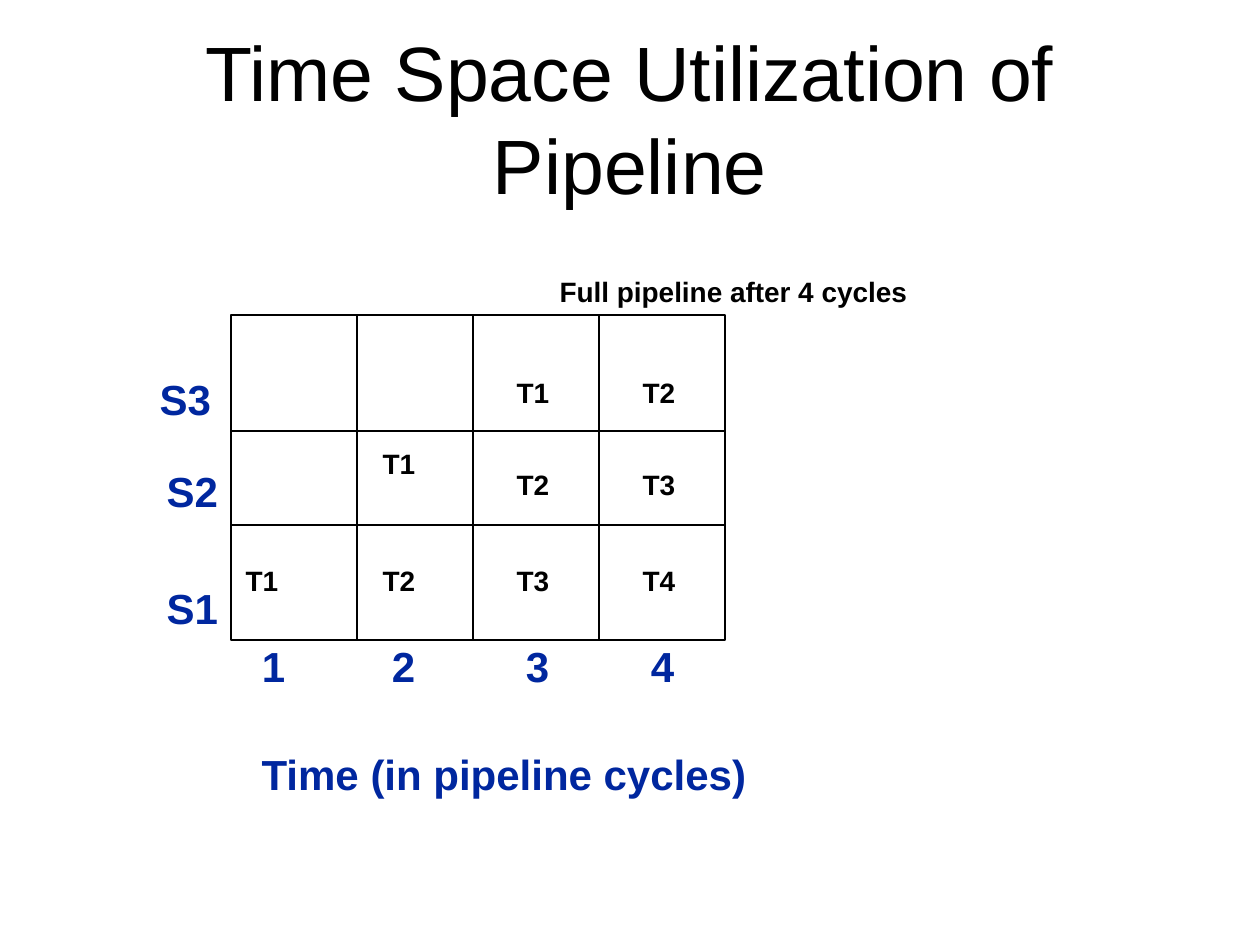
"""Build the pipeline time-space utilization slide."""
from lxml import etree
from pptx import Presentation
from pptx.dml.color import RGBColor
from pptx.enum.shapes import MSO_CONNECTOR, MSO_SHAPE
from pptx.enum.text import MSO_ANCHOR, MSO_AUTO_SIZE, PP_ALIGN
from pptx.oxml.ns import qn
from pptx.util import Pt

PX = 914400 // 126
BLACK = RGBColor(0x00, 0x00, 0x00)
BLUE = RGBColor(0x00, 0x27, 0x9F)
STRAIGHT = MSO_CONNECTOR.STRAIGHT
RECTANGLE = MSO_SHAPE.RECTANGLE
MIDDLE = MSO_ANCHOR.MIDDLE
CENTER = PP_ALIGN.CENTER
FIT_SHAPE = MSO_AUTO_SIZE.SHAPE_TO_FIT_TEXT

TITLE = "Time Space Utilization of Pipeline"
NOTE = "Full pipeline after 4 cycles"
AXIS_TITLE = "Time (in pipeline cycles)"

COLUMN_EDGES = [231, 357, 473, 599, 725]
ROW_EDGES = [315, 431, 525, 640]

# stage, label left, label top, task top
STAGES = [("S1", 154, 582, 561), ("S2", 154, 465, 465), ("S3", 147, 373, 373)]
# cycle, label left, task left
CYCLES = [(1, 249, 233), (2, 379, 370), (3, 513, 504), (4, 638, 630)]
TASK_TOPS = {("S2", 2): 444}

LARGE = {"size": 24, "color": BLUE, "before": 9, "height": 58}
SMALL = {"size": 16, "color": BLACK, "before": 6, "height": 43}


def add_text(slide, text, left, top, width, height):
    box = slide.shapes.add_textbox(left * PX, top * PX, width * PX, height * PX)
    frame = box.text_frame
    frame.word_wrap = True
    frame.vertical_anchor = MIDDLE
    paragraph = frame.paragraphs[0]
    paragraph.text = text
    paragraph.alignment = CENTER
    paragraph.font.name = "Arial"
    return frame, paragraph


def add_label(slide, text, left, top, width, style):
    frame, paragraph = add_text(slide, text, left, top, width, style["height"])
    frame.word_wrap = False
    frame.auto_size = FIT_SHAPE
    paragraph.line_spacing = 0.9
    paragraph.space_before = Pt(style["before"])
    paragraph.font.size = Pt(style["size"])
    paragraph.font.bold = True
    paragraph.font.color.rgb = style["color"]


def add_rule(slide, x1, y1, x2, y2):
    rule = slide.shapes.add_connector(STRAIGHT, x1 * PX, y1 * PX, x2 * PX, y2 * PX)
    rule.line.color.rgb = BLACK
    rule.line.width = Pt(0.75)
    etree.SubElement(rule._element.spPr, qn("a:effectLst"))


def add_grid(slide):
    left, *inner_columns, right = COLUMN_EDGES
    top, *inner_rows, bottom = ROW_EDGES
    border = slide.shapes.add_shape(
        RECTANGLE, left * PX, top * PX, (right - left) * PX, (bottom - top) * PX
    )
    border.shadow.inherit = False
    border.fill.background()
    border.line.color.rgb = BLACK
    border.line.width = Pt(1.25)
    for y in inner_rows:
        add_rule(slide, left, y, right, y)
    for x in inner_columns:
        add_rule(slide, x, top, x, bottom)


def main():
    deck = Presentation()
    deck.slide_width, deck.slide_height = 1260 * PX, 945 * PX
    slide = deck.slides.add_slide(deck.slide_layouts[6])

    _, heading = add_text(slide, TITLE, 63, 38, 1134, 158)
    heading.font.size = Pt(44)
    heading.font.color.rgb = BLACK

    add_grid(slide)
    for depth, (stage, label_left, label_top, task_top) in enumerate(STAGES):
        add_label(slide, stage, label_left, label_top, 77, LARGE)
        for cycle, _, task_left in CYCLES[depth:]:
            top = TASK_TOPS.get((stage, cycle), task_top)
            add_label(slide, f"T{cycle - depth}", task_left, top, 58, SMALL)
    for cycle, label_left, _ in CYCLES:
        add_label(slide, str(cycle), label_left, ROW_EDGES[-1], 49, LARGE)
    add_label(slide, AXIS_TITLE, 248, 748, 512, LARGE)
    add_label(slide, NOTE, 547, 272, 373, SMALL)

    deck.save("out.pptx")


if __name__ == "__main__":
    main()
